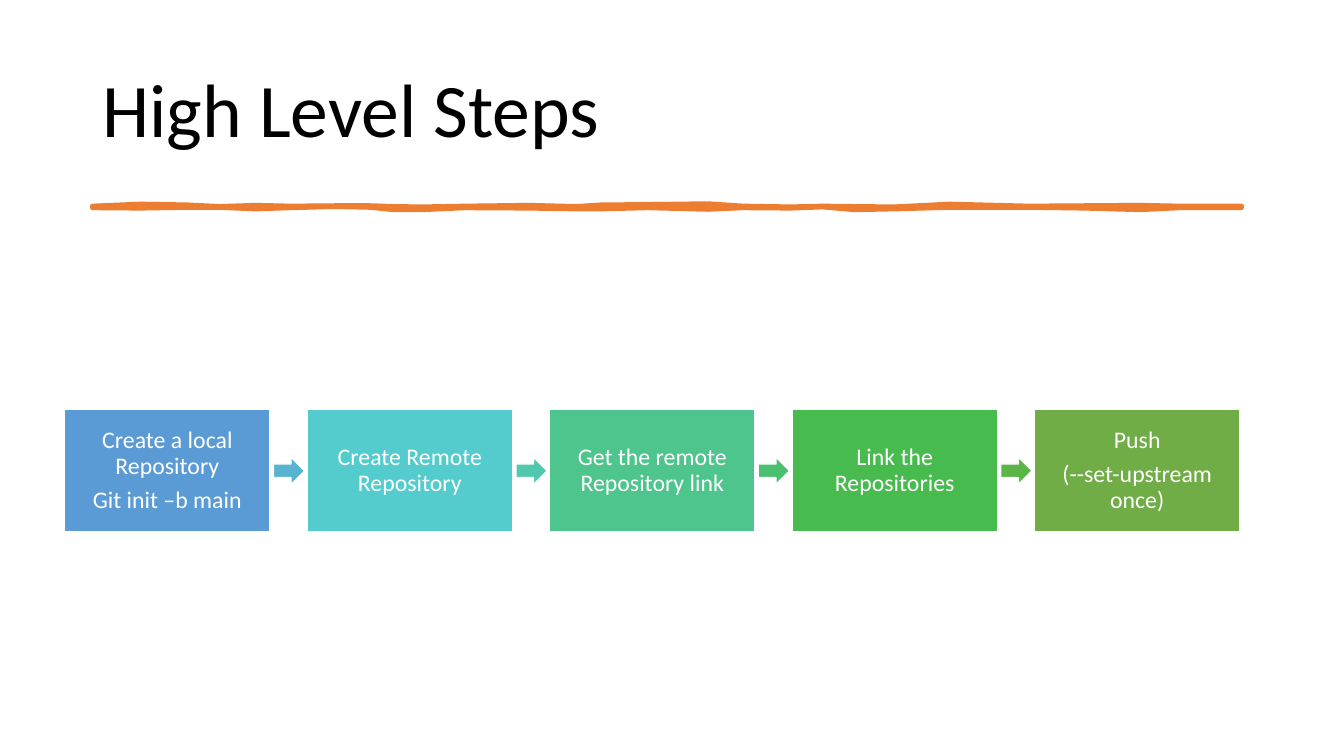
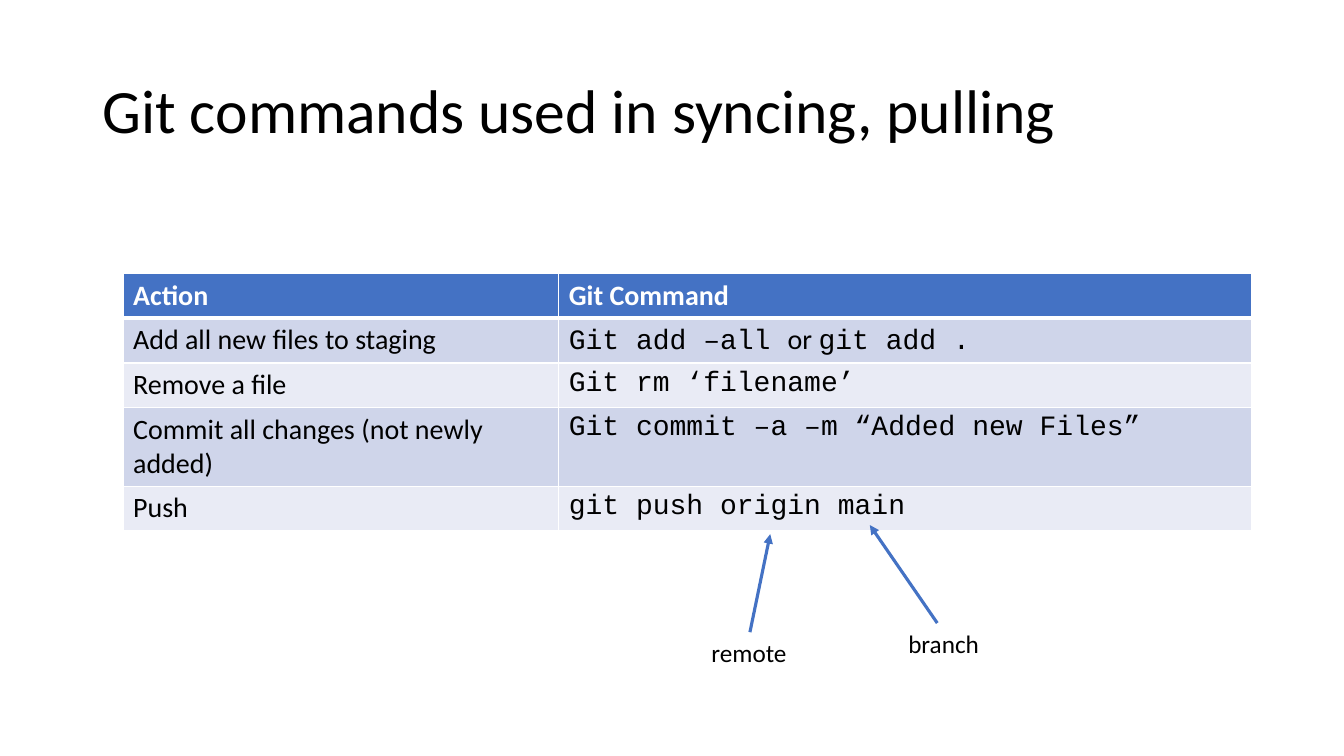
from lxml import etree
from pptx import Presentation
from pptx import util as u
from pptx.dml.color import RGBColor
from pptx.enum import shapes, text
from pptx.oxml import ns

COLOURS = {
    "white": "FFFFFF",
    "black": "000000",
    "blue": "4472C4",
    "orange": "ED7D31",
    "band_dark": "CFD5EA",
    "band_light": "E9EBF5",
}
BODY_FONT = "Calibri"
CODE_FONT = "Courier New"

# Step text with the colour of its box, and the arrows between the boxes
STEPS = [
    (["Create a local Repository", "Git init –b main"], "5B9BD5"),
    (["Create Remote Repository"], "54CCCD"),
    (["Get the remote Repository link"], "4DC58D"),
    (["Link the Repositories"], "48BB4F"),
    (["Push", "(--set-upstream once)"], "70AD47"),
]
ARROW_COLOURS = ["57B4D1", "51C9AD", "4AC06E", "59B546"]

# Brush stroke: position along it, upper edge and lower edge, in cm
STROKE = [
    (0, 0, 0.05), (1.2, -0.05, 0.06), (2.4, -0.03, 0.04), (3.2, 0.01, 0.04),
    (4.1, -0.02, 0.08), (5, 0, 0.05), (6.1, -0.01, 0.02), (7, -0.01, 0.04),
    (7.6, 0.01, 0.1), (8.3, 0.02, 0.1), (9.4, 0, 0.05), (11, -0.02, 0.06),
    (12.2, 0.01, 0.08), (12.8, -0.03, 0.08), (14, -0.04, 0.05),
    (15.5, -0.06, 0.09), (16.4, 0, 0.05), (17.6, 0.02, 0.06),
    (18.4, 0, 0.03), (19.2, 0.01, 0.1), (20.2, 0.02, 0.08),
    (21.6, -0.05, 0.04), (23.6, 0, 0.04), (25, -0.01, 0.06),
    (26.4, -0.02, 0.1), (27.4, 0, 0.05), (28.96, 0, 0.05),
]

# A cell holds pieces of text, each with its font
COMMANDS = [
    ("Add all new files to staging",
     [("Git add –all ", CODE_FONT), ("or ", BODY_FONT), ("git add .", CODE_FONT)]),
    ("Remove a file", [("Git rm ‘filename’", CODE_FONT)]),
    ("Commit all changes (not newly added)",
     [("Git commit –a –m “Added new Files”", CODE_FONT)]),
    ("Push", [("git push origin main", CODE_FONT)]),
]


def rgb(colour):
    return RGBColor.from_string(COLOURS.get(colour, colour))


class Deck:
    def __init__(self):
        self.presentation = Presentation()
        self.presentation.slide_width = u.Cm(33.87)
        self.presentation.slide_height = u.Cm(19.05)
        self.slide = None

    def format_runs(self, paragraph, size, colour="black", bold=False):
        for run in paragraph.runs:
            run.font.size = u.Pt(size)
            run.font.name = run.font.name or BODY_FONT
            run.font.bold = bold
            run.font.color.rgb = rgb(colour)

    def add_slide(self, title, size):
        layout = self.presentation.slide_layouts.get_by_name("Title Only")
        self.slide = self.presentation.slides.add_slide(layout)
        shape = self.slide.shapes.title
        shape.left, shape.top = u.Cm(2.33), u.Cm(1.01)
        shape.width, shape.height = u.Cm(29.21), u.Cm(3.68)
        frame = shape.text_frame
        frame.text = title
        frame.auto_size = text.MSO_AUTO_SIZE.NONE
        frame.vertical_anchor = text.MSO_ANCHOR.MIDDLE
        paragraph = frame.paragraphs[0]
        paragraph.alignment = text.PP_ALIGN.LEFT
        paragraph.line_spacing = 0.9
        self.format_runs(paragraph, size)

    def paint(self, shape, fill, line, width):
        shape.shadow.inherit = False
        shape.fill.solid()
        shape.fill.fore_color.rgb = rgb(fill)
        shape.line.color.rgb = rgb(line)
        shape.line.width = u.Pt(width)

    def add_block(self, kind, left, top, width, height, fill):
        shape = self.slide.shapes.add_shape(
            kind, u.Cm(left), u.Cm(top), u.Cm(width), u.Cm(height))
        self.paint(shape, fill, "white", 1)
        return shape

    def add_step(self, lines, left, top, width, height, fill):
        shape = self.add_block(
            shapes.MSO_SHAPE.RECTANGLE, left, top, width, height, fill)
        frame = shape.text_frame
        frame.text = "\n".join(lines)
        frame.word_wrap = True
        frame.vertical_anchor = text.MSO_ANCHOR.MIDDLE
        frame.margin_left = frame.margin_right = u.Cm(0.43)
        frame.margin_top = frame.margin_bottom = u.Cm(0.43)
        for paragraph in frame.paragraphs:
            paragraph.alignment = text.PP_ALIGN.CENTER
            paragraph.line_spacing = 0.9
            paragraph.space_after = u.Pt(6)
            self.format_runs(paragraph, 17, "white")

    def add_stroke(self, left, top, profile):
        upper = [(left + x, top + high) for x, high, low in profile]
        lower = [(left + x, top + low) for x, high, low in reversed(profile)]
        points = [(u.Cm(x), u.Cm(y)) for x, y in upper + lower]
        builder = self.slide.shapes.build_freeform(*points[0])
        builder.add_line_segments(points[1:], close=True)
        shape = builder.convert_to_shape()
        self.paint(shape, "orange", "orange", 3.25)
        etree.SubElement(shape.line._get_or_add_ln(), ns.qn("a:round"))

    def add_cell(self, cell, pieces, fill, colour="black", bold=False,
                 top=1, bottom=1):
        # Borders come before the fill in the cell properties
        properties = cell._tc.get_or_add_tcPr()
        for side, width in (("L", 1), ("R", 1), ("T", top), ("B", bottom)):
            line = etree.SubElement(
                properties, ns.qn("a:ln" + side), w=str(u.Pt(width)))
            solid = etree.SubElement(line, ns.qn("a:solidFill"))
            etree.SubElement(solid, ns.qn("a:srgbClr"), val=COLOURS["white"])
        cell.fill.solid()
        cell.fill.fore_color.rgb = rgb(fill)
        paragraph = cell.text_frame.paragraphs[0]
        for content, font in pieces:
            run = paragraph.add_run()
            run.text = content
            run.font.name = font
        self.format_runs(paragraph, 20, colour, bold)

    def add_table(self, headings, rows, left, top, widths, row_height):
        table = self.slide.shapes.add_table(
            len(rows) + 1, len(widths), u.Cm(left), u.Cm(top),
            u.Cm(sum(widths)), u.Cm(row_height * (len(rows) + 1))).table
        for column, (width, heading) in enumerate(zip(widths, headings)):
            table.columns[column].width = u.Cm(width)
            self.add_cell(table.cell(0, column), [(heading, BODY_FONT)],
                          "blue", "white", bold=True, bottom=3)
        for index, (action, command) in enumerate(rows, 1):
            fill = "band_dark" if index % 2 else "band_light"
            for column, pieces in enumerate(([(action, BODY_FONT)], command)):
                self.add_cell(table.cell(index, column), pieces, fill,
                              top=3 if index == 1 else 1)

    def add_arrow(self, start, end):
        connector = self.slide.shapes.add_connector(
            shapes.MSO_CONNECTOR.STRAIGHT,
            *[u.Cm(value) for value in start + end])
        connector.line.color.rgb = rgb("blue")
        connector.line.width = u.Pt(2.25)
        etree.SubElement(connector.line._get_or_add_ln(),
                         ns.qn("a:tailEnd"), type="triangle")
        etree.SubElement(connector._element.spPr, ns.qn("a:effectLst"))

    def add_label(self, content, left, top, width):
        box = self.slide.shapes.add_textbox(
            u.Cm(left), u.Cm(top), u.Cm(width), u.Cm(1.03))
        frame = box.text_frame
        frame.text = content
        frame.word_wrap = False
        frame.auto_size = text.MSO_AUTO_SIZE.SHAPE_TO_FIT_TEXT
        self.format_runs(frame.paragraphs[0], 18)


def main():
    deck = Deck()

    # Steps: a row of boxes joined by block arrows
    deck.add_slide("High Level Steps", 54)
    deck.add_stroke(2.33, 5.19, STROKE)
    first_left, pitch = 1.63, 6.11
    for index, (lines, fill) in enumerate(STEPS):
        deck.add_step(lines, first_left + index * pitch, 10.31, 5.18, 3.1, fill)
    for index, fill in enumerate(ARROW_COLOURS):
        deck.add_block(shapes.MSO_SHAPE.RIGHT_ARROW,
                       first_left + 5.26 + index * pitch, 11.52, 0.79, 0.69, fill)

    # Commands: a table with two words of the last row explained
    deck.add_slide("Git commands used in syncing, pulling", 44)
    deck.add_table(["Action", "Git Command"], COMMANDS,
                   3.1, 6.89, [10.98, 17.46], 1.03)
    deck.add_arrow((18.9, 15.93), (19.41, 13.46))
    deck.add_arrow((23.62, 15.7), (21.92, 13.23))
    deck.add_label("remote", 17.68, 15.93, 2.42)
    deck.add_label("branch", 22.64, 15.7, 2.3)

    deck.presentation.save("out.pptx")


if __name__ == "__main__":
    main()
